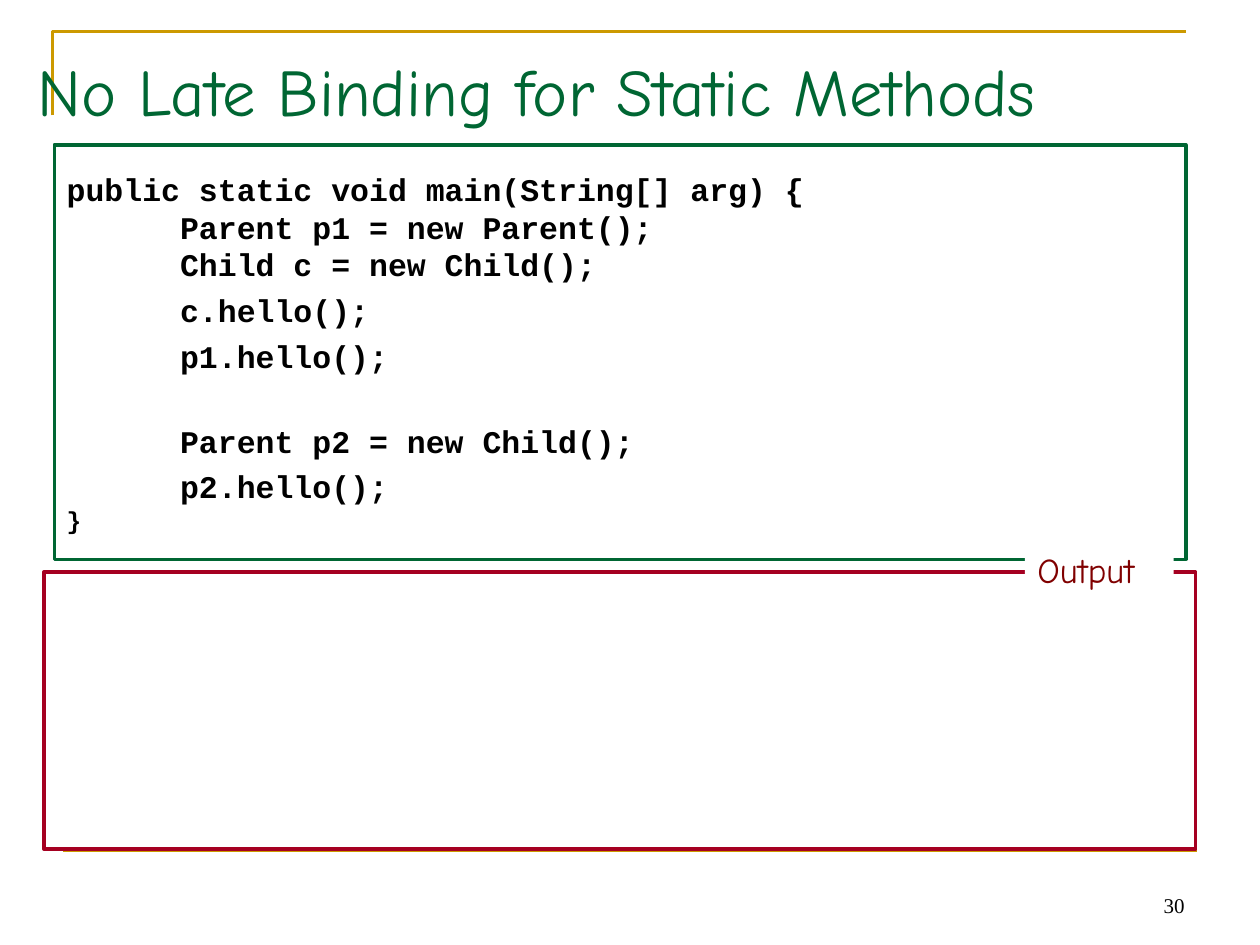
import pptx
import pptx.util
import pptx.dml.color
import pptx.enum.shapes
import pptx.enum.text
import pptx.oxml.ns
import lxml.etree

Pt = pptx.util.Pt
ANCHOR = pptx.enum.text.MSO_ANCHOR
ALIGN = pptx.enum.text.PP_ALIGN
RECTANGLE = pptx.enum.shapes.MSO_SHAPE.RECTANGLE

GREEN, GOLD, CRIMSON, MAROON, BLACK, WHITE = (
    "006633", "CC9900", "A50021", "800000", "000000", "FFFFFF")
CODE_LINES = [
    ("public static void main(String[] arg) {", 18, 0),
    ("      Parent p1 = new Parent();", 18, 0),
    ("      Child c = new Child();", 18, 0),
    ("      c.hello();", 18, 4.5),
    ("      p1.hello();", 18, 4.5),
    ("      Parent p2 = new Child();", 18, 27),
    ("      p2.hello();", 18, 4.5),
    ("}", 14, 0),
]


def color(value):
    """Turn a hex string into a colour."""
    return pptx.dml.color.RGBColor.from_string(value)


def set_values(target, values):
    """Set each attribute of the target from a dict."""
    for name, value in values.items():
        setattr(target, name, value)


def set_line(shape, value, width):
    """Give the shape a solid line."""
    shape.line.color.rgb = color(value)
    shape.line.width = Pt(width)


def write_line(para, text, font, size, value, bold=False, align=ALIGN.LEFT, before=0):
    """Write one run of text into a paragraph."""
    set_values(para, {"alignment": align, "space_before": Pt(before)})
    span = para.add_run()
    span.text = text
    set_values(span.font, {"name": font, "size": Pt(size), "bold": bold})
    span.font.color.rgb = color(value)


def add_label(page, box, anchor, text, font, size, value, bottom=3.6, **style):
    """Place a single line of text in the box."""
    label = page.shapes.add_textbox(*map(Pt, box))
    set_values(label.text_frame, {"word_wrap": True, "vertical_anchor": anchor,
                                  "margin_bottom": Pt(bottom)})
    write_line(label.text_frame.paragraphs[0], text, font, size, value, **style)
    return label


def add_frame(page, box, value):
    """Draw an unfilled rectangle with a coloured border."""
    frame = page.shapes.add_shape(RECTANGLE, *map(Pt, box))
    frame.shadow.inherit = False
    frame.fill.background()
    set_line(frame, value, 2)
    return frame


def add_rules(page, left, top, width, height):
    """Draw the gold corner at the top and the rule at the foot."""
    builder = page.shapes.build_freeform(Pt(left), Pt(top + 48))
    builder.add_line_segments([(Pt(left), Pt(top)), (Pt(left + width), Pt(top))], close=False)
    corner = builder.convert_to_shape()
    corner.shadow.inherit = False
    corner.fill.background()
    foot = page.shapes.add_connector(
        pptx.enum.shapes.MSO_CONNECTOR.STRAIGHT,
        Pt(left + 6), Pt(top + height), Pt(left + 6 + width), Pt(top + height))
    lxml.etree.SubElement(foot._element.spPr, pptx.oxml.ns.qn("a:effectLst"))
    for rule in (corner, foot):
        set_line(rule, GOLD, 1.5)


def add_code(page, box):
    """Place the framed code listing in the box."""
    text = add_frame(page, box, GREEN).text_frame
    set_values(text, {"word_wrap": False, "vertical_anchor": ANCHOR.MIDDLE})
    for index, (line, size, before) in enumerate(CODE_LINES):
        para = text.add_paragraph() if index else text.paragraphs[0]
        write_line(para, line, "Courier New", size, BLACK, bold=True, before=before)


def add_output(page, left, top, width, height):
    """Place the empty output frame with its label over the top edge."""
    add_frame(page, (left, top, width, height), CRIMSON)
    label = add_label(page, (left + width - 97.5, top - 17.3, 85, 32), ANCHOR.TOP,
                      "Output", "Comic Neue", 20, MAROON)
    label.fill.solid()
    label.fill.fore_color.rgb = color(WHITE)


def main():
    """Build the slide and save it."""
    deck = pptx.Presentation()
    set_values(deck, {"slide_width": Pt(720), "slide_height": Pt(540)})
    page = deck.slides.add_slide(deck.slide_layouts[6])
    add_rules(page, 30, 18, 648, 468)
    add_label(page, (516, 492, 168, 36), ANCHOR.BOTTOM, "30",
              "Times New Roman", 12, BLACK, align=ALIGN.RIGHT)
    add_label(page, (14.4, 26, 684, 55.4), ANCHOR.BOTTOM,
              "No Late Binding for Static Methods", "Comic Neue", 38, GREEN, bottom=7.2)
    add_code(page, (31, 82.8, 646.6, 236.9))
    add_output(page, 25.2, 326.9, 658, 158.4)
    deck.save("out.pptx")


if __name__ == "__main__":
    main()
